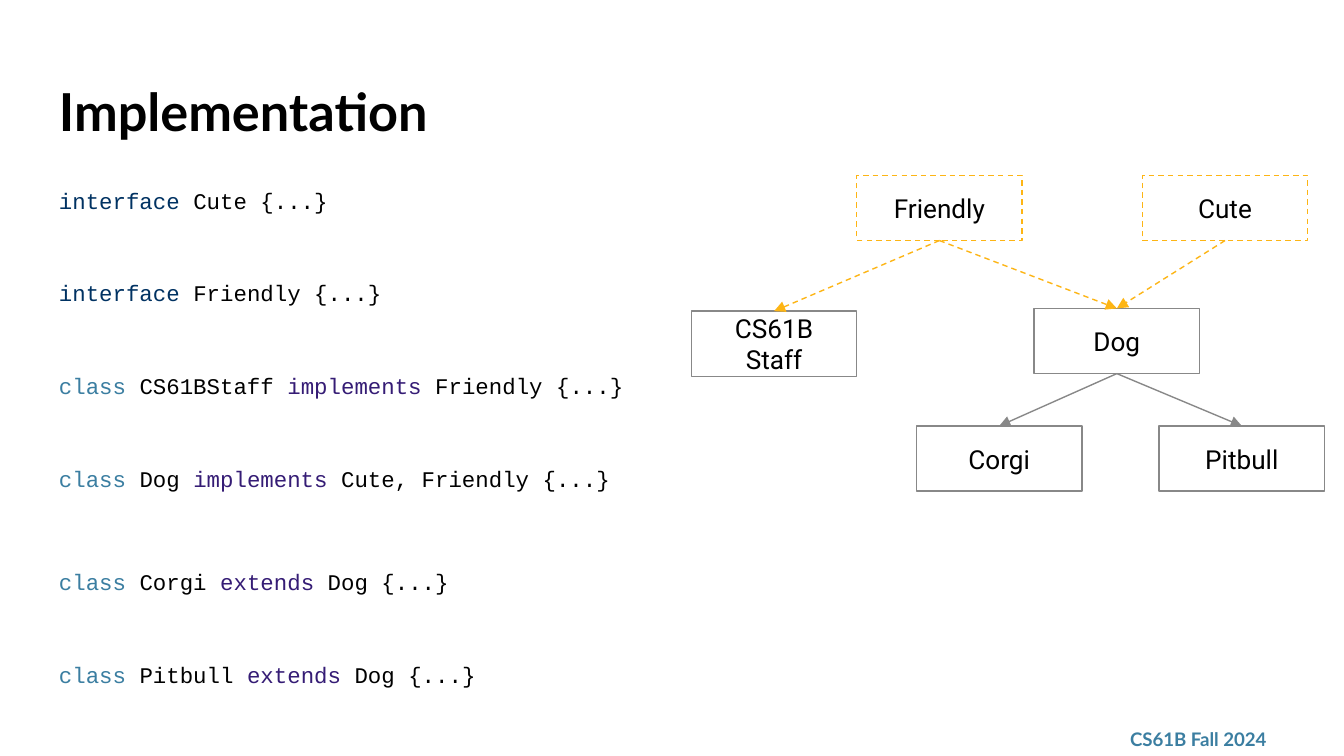
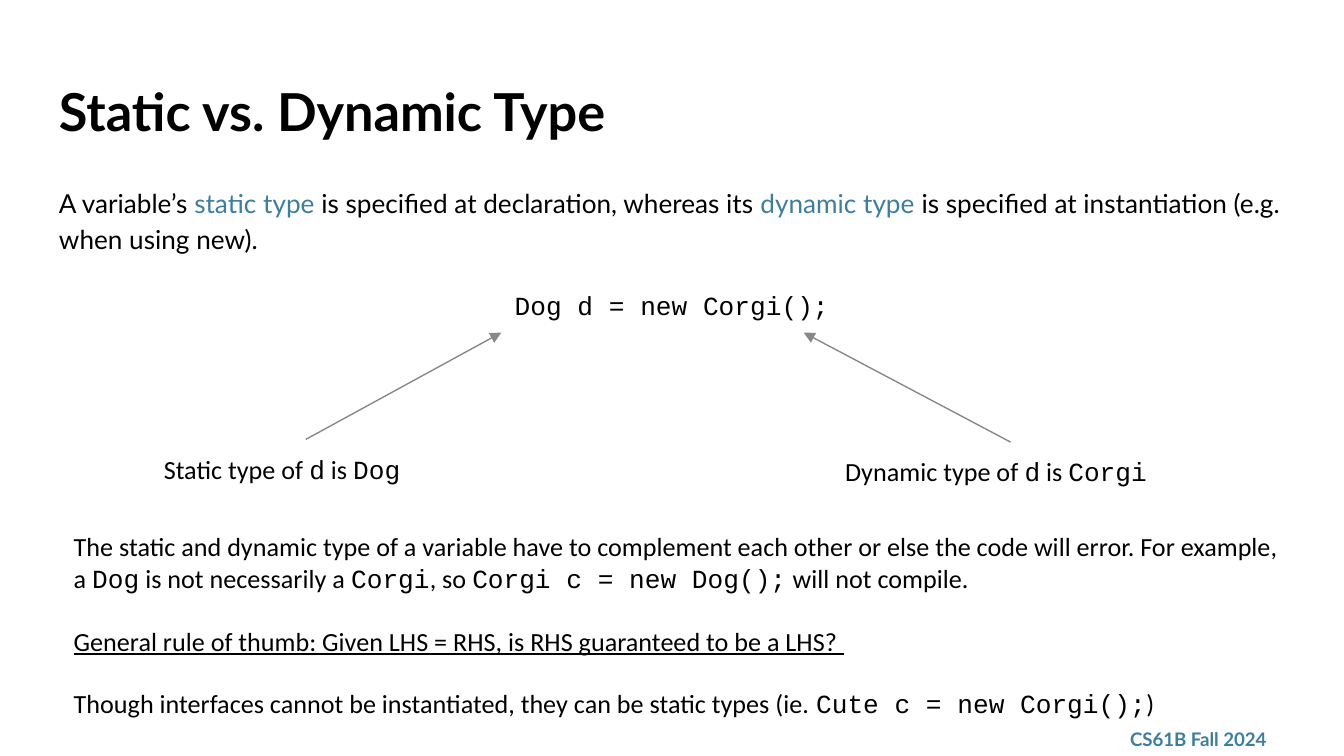
from dataclasses import dataclass

from lxml import etree
from pptx import Presentation
from pptx.dml.color import RGBColor
from pptx.enum.dml import MSO_LINE
from pptx.enum.shapes import MSO_CONNECTOR, MSO_SHAPE
from pptx.enum.text import MSO_ANCHOR, PP_ALIGN
from pptx.oxml.ns import qn
from pptx.util import Pt

PX = 4572  # EMU per px, 200 px to the inch
DASH = MSO_LINE.DASH
STRAIGHT = MSO_CONNECTOR.STRAIGHT
RECT = MSO_SHAPE.RECTANGLE
TOP, MIDDLE = MSO_ANCHOR.TOP, MSO_ANCHOR.MIDDLE
LEFT, CENTER = PP_ALIGN.LEFT, PP_ALIGN.CENTER
SITE_TOP, SITE_BOTTOM = 0, 2
BLANK = 6


@dataclass(frozen=True)
class Theme:
    # Colours
    black: str = "000000"
    navy: str = "003262"
    blue: str = "3B7EA1"
    purple: str = "351C75"
    gold: str = "FDB515"
    grey: str = "888888"
    # Fonts
    head: str = "Lato"
    note: str = "Calibri"
    mono: str = "Courier New"
    label: str = "Roboto"
    # Type sizes and line width in points
    title_size: int = 28
    text_size: int = 14
    code_size: int = 12
    footer_size: int = 10
    line: float = 0.75


T = Theme()
KEYWORDS = {"interface": T.navy, "class": T.blue,
            "implements": T.purple, "extends": T.purple}


def px(*values):
    return [v * PX for v in values]


# Text
def add_run(p, text, font, size, color=T.black, bold=False, underline=False):
    r = p.add_run()
    r.text = text
    r.font.name = font
    r.font.size = Pt(size)
    r.font.color.rgb = RGBColor.from_string(color)
    r.font.bold = bold
    r.font.underline = underline


def set_frame(tf, anchor):
    tf.word_wrap = True
    tf.vertical_anchor = anchor
    tf.margin_left = tf.margin_top = tf.margin_right = tf.margin_bottom = 20 * PX


def add_text(s, box, anchor=TOP):
    tf = s.shapes.add_textbox(*px(*box)).text_frame
    set_frame(tf, anchor)
    return tf


def add_paragraph(tf, first=False, align=LEFT, before=0, spacing=1.0):
    p = tf.paragraphs[0] if first else tf.add_paragraph()
    p.alignment = align
    p.space_before = Pt(before)
    p.line_spacing = spacing
    return p


def add_mixed(p, *texts):
    """Add runs that alternate between prose and code."""
    for i, text in enumerate(texts):
        add_run(p, text, T.mono if i % 2 else T.note, T.text_size)


def add_code_line(p, *texts):
    for text in texts:
        add_run(p, text, T.mono, T.code_size, KEYWORDS.get(text, T.black))


# Shapes and arrows
def style_line(line, color, dashed):
    line.color.rgb = RGBColor.from_string(color)
    line.width = Pt(T.line)
    if dashed:
        line.dash_style = DASH


def add_type_box(s, text, x, y, interface=False):
    sp = s.shapes.add_shape(RECT, *px(x, y, 246, 97))
    sp.shadow.inherit = False
    sp.fill.background()
    style_line(sp.line, T.gold if interface else T.grey, interface)
    set_frame(sp.text_frame, MIDDLE)
    p = add_paragraph(sp.text_frame, first=True, align=CENTER)
    add_run(p, text, T.label, T.text_size)
    return sp


def add_arrow(s, start=(0, 0), end=(0, 0), color=T.grey, dashed=False):
    cx = s.shapes.add_connector(STRAIGHT, *px(*start, *end))
    style_line(cx.line, color, dashed)
    sp_pr = cx._element.spPr
    etree.SubElement(sp_pr.find(qn("a:ln")), qn("a:tailEnd"), type="triangle")
    etree.SubElement(sp_pr, qn("a:effectLst"))
    return cx


def join(s, parent, child, interface=False):
    cx = add_arrow(s, color=T.gold if interface else T.grey, dashed=interface)
    cx.begin_connect(parent, SITE_BOTTOM)
    cx.end_connect(child, SITE_TOP)


# Slides
def new_slide(prs, title):
    s = prs.slides.add_slide(prs.slide_layouts[BLANK])
    footer = add_text(s, (1662, 1074, 270, 52), MIDDLE)
    add_run(add_paragraph(footer, first=True), "CS61B Fall 2024",
            T.head, T.footer_size, T.blue, bold=True)
    head = add_text(s, (68, 98, 1864, 126))
    add_run(add_paragraph(head, first=True), title, T.head, T.title_size, bold=True)
    return s


def implementation_slide(prs):
    s = new_slide(prs, "Implementation")

    # Declarations, with a wider gap before the subclasses
    declarations = [
        (0, "interface", " Cute {...}"),
        (33.2, "interface", " Friendly {...}"),
        (33.2, "class", " CS61BStaff ", "implements", " Friendly {...}"),
        (33.2, "class", " Dog ", "implements", " Cute, Friendly {...}"),
        (38.6, "class", " Corgi ", "extends", " Dog {...}"),
        (33.2, "class", " Pitbull ", "extends", " Dog {...}"),
    ]
    tf = add_text(s, (68, 252, 932, 748))
    for i, (before, *texts) in enumerate(declarations):
        p = add_paragraph(tf, first=i == 0, before=before, spacing=1.15)
        add_code_line(p, *texts)

    # Type hierarchy
    cute = add_type_box(s, "Cute", 1700, 261, interface=True)
    friendly = add_type_box(s, "Friendly", 1275, 261, interface=True)
    staff = add_type_box(s, "CS61B Staff", 1029, 463)
    dog = add_type_box(s, "Dog", 1539, 459)
    corgi = add_type_box(s, "Corgi", 1364, 634)
    pitbull = add_type_box(s, "Pitbull", 1725, 634)
    for parent, child in ((cute, dog), (friendly, dog), (friendly, staff)):
        join(s, parent, child, interface=True)
    for child in (corgi, pitbull):
        join(s, dog, child)


def types_slide(prs):
    s = new_slide(prs, "Static vs. Dynamic Type")

    # Definition and example
    tf = add_text(s, (68, 252, 1864, 748))
    p = add_paragraph(tf, first=True, spacing=1.15)
    for text, color in (
        ("A variable’s ", T.black),
        ("static type", T.blue),
        (" is specified at declaration, whereas its ", T.black),
        ("dynamic type ", T.blue),
        ("is specified at instantiation (e.g. when using new).", T.black),
    ):
        add_run(p, text, T.head, T.text_size, color)
    p = add_paragraph(tf, align=CENTER, before=16, spacing=1.15)
    add_run(p, "Dog d = new Corgi();", T.mono, T.text_size)

    # Labels pointing at the two halves of the example
    for kind, name, box, start, end in (
        ("Static", "Dog", (224, 655, 462, 88), (455, 654), (746, 495)),
        ("Dynamic", "Corgi", (1238, 658, 532, 88), (1504, 658), (1196, 495)),
    ):
        label = add_text(s, box)
        add_mixed(add_paragraph(label, first=True),
                  f"{kind} type of ", "d", " is ", name)
        add_arrow(s, start, end)

    # Rules
    tf = add_text(s, (90, 770, 1842, 324))
    add_mixed(add_paragraph(tf, first=True),
              "The static and dynamic type of a variable have to complement each "
              "other or else the code will error. For example, a ", "Dog",
              " is not necessarily a ", "Corgi", ", so ", "Corgi c = new Dog();",
              " will not compile.")
    add_run(add_paragraph(tf, before=16.8),
            "General rule of thumb: Given LHS = RHS, is RHS guaranteed to be a LHS? ",
            T.note, T.text_size, underline=True)
    add_mixed(add_paragraph(tf, before=16.8),
              "Though interfaces cannot be instantiated, they can be static types (ie. ",
              "Cute c = new Corgi();", ")")


def main():
    prs = Presentation()
    prs.slide_width, prs.slide_height = px(2000, 1125)
    implementation_slide(prs)
    types_slide(prs)
    prs.save("out.pptx")


if __name__ == "__main__":
    main()
